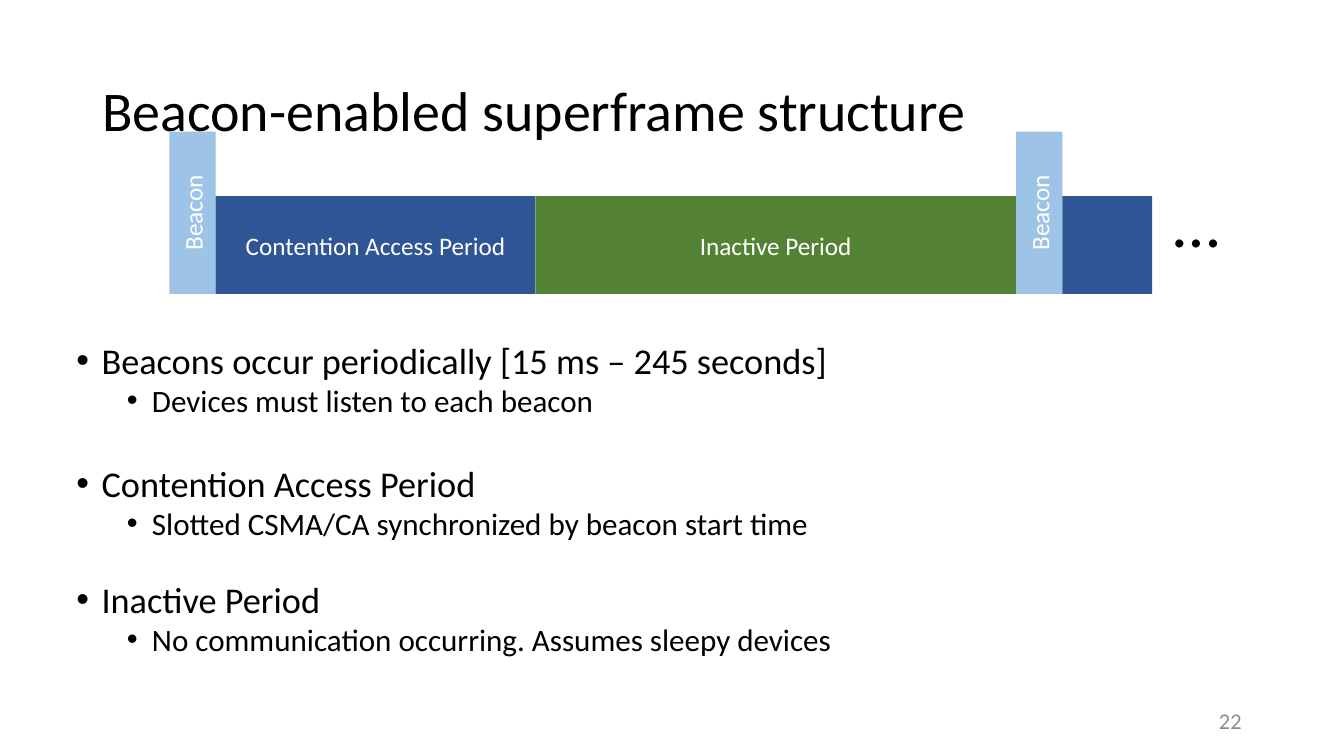
import pptx
import pptx.dml.color
import pptx.enum.shapes
import pptx.enum.text
import pptx.oxml.ns
import pptx.util
from lxml import etree

Pt = pptx.util.Pt
ALIGN = pptx.enum.text.PP_ALIGN
ANCHOR = pptx.enum.text.MSO_ANCHOR

FONT = "Calibri"
BLACK, WHITE, GREY = "000000", "FFFFFF", "8C8C8C"
BEACON, ACCESS, INACTIVE = "9DC3E6", "2F5597", "548235"

TITLE = "Beacon-enabled superframe structure"
PAGE = "22"
ELLIPSIS = "…"

SLOTS = [
    ("Beacon", 33.12, 116, BEACON),
    ("Contention Access Period", 228.24, 70, ACCESS),
    ("Inactive Period", 343.44, 70, INACTIVE),
    ("Beacon", 33.12, 116, BEACON),
    ("", 64.08, 70, ACCESS),
]
FRAME_LEFT, FRAME_BOTTOM = 121, 210

BULLETS = [
    (0, 0, "Beacons occur periodically [15 ms – 245 seconds]"),
    (1, 5, "Devices must listen to each beacon"),
    (0, 36.7, "Contention Access Period"),
    (1, 5, "Slotted CSMA/CA synchronized by beacon start time"),
    (0, 31.7, "Inactive Period"),
    (1, 5, "No communication occurring. Assumes sleepy devices"),
]
LEVELS = [{"size": 25.9, "margin": 18}, {"size": 22.2, "margin": 54}]
HANGING = 18


def rgb(value):
    return pptx.dml.color.RGBColor.from_string(value)


def apply(obj, values):
    for name, value in values.items():
        setattr(obj, name, value)


def write(p, text, size, color, **fmt):
    apply(p, fmt)
    r = p.add_run()
    r.text = text
    apply(r.font, {"name": FONT, "size": Pt(size)})
    r.font.color.rgb = rgb(color)


def add_box(s, box, anchor=ANCHOR.MIDDLE):
    tf = s.shapes.add_textbox(*map(Pt, box)).text_frame
    apply(tf, {"word_wrap": True, "vertical_anchor": anchor})
    return tf


def add_bullet(p, margin):
    pPr = p._p.get_or_add_pPr()
    pPr.set("marL", str(Pt(margin)))
    pPr.set("indent", str(-Pt(HANGING)))
    for tag, key, value in (("a:buFont", "typeface", "Arial"), ("a:buChar", "char", "•")):
        etree.SubElement(pPr, pptx.oxml.ns.qn(tag)).set(key, value)


def add_slot(s, left, label, width, height, color):
    box = map(Pt, (left, FRAME_BOTTOM - height, width, height))
    sp = s.shapes.add_shape(pptx.enum.shapes.MSO_SHAPE.RECTANGLE, *box)
    sp.shadow.inherit = False
    sp.fill.solid()
    sp.fill.fore_color.rgb = rgb(color)
    sp.line.fill.background()
    if label:
        tf = sp.text_frame
        apply(tf, {"word_wrap": True, "vertical_anchor": ANCHOR.MIDDLE})
        if height > width:
            tf._txBody.bodyPr.set("vert", "vert270")
        write(tf.paragraphs[0], label, 18, WHITE, alignment=ALIGN.CENTER)


def main():
    prs = pptx.Presentation()
    apply(prs, {"slide_width": Pt(960), "slide_height": Pt(540)})
    s = prs.slides.add_slide(prs.slide_layouts[6])

    tf = add_box(s, (66, 29, 828, 104))
    write(tf.paragraphs[0], TITLE, 40, BLACK, line_spacing=0.9)

    tf = add_box(s, (47.5, 244, 864, 242), ANCHOR.TOP)
    for i, (level, before, text) in enumerate(BULLETS):
        p = tf.add_paragraph() if i else tf.paragraphs[0]
        add_bullet(p, LEVELS[level]["margin"])
        write(p, text, LEVELS[level]["size"], BLACK,
              level=level, line_spacing=0.8, space_before=Pt(before))

    tf = add_box(s, (678, 500.5, 216, 29))
    write(tf.paragraphs[0], PAGE, 16, GREY, alignment=ALIGN.RIGHT)

    left = FRAME_LEFT
    for label, width, height, color in SLOTS:
        add_slot(s, left, label, width, height, color)
        left += width

    tf = add_box(s, (left + 8.5, 124.5, 74, 65.5))
    write(tf.paragraphs[0], ELLIPSIS, 48, BLACK)

    prs.save("out.pptx")


if __name__ == "__main__":
    main()
